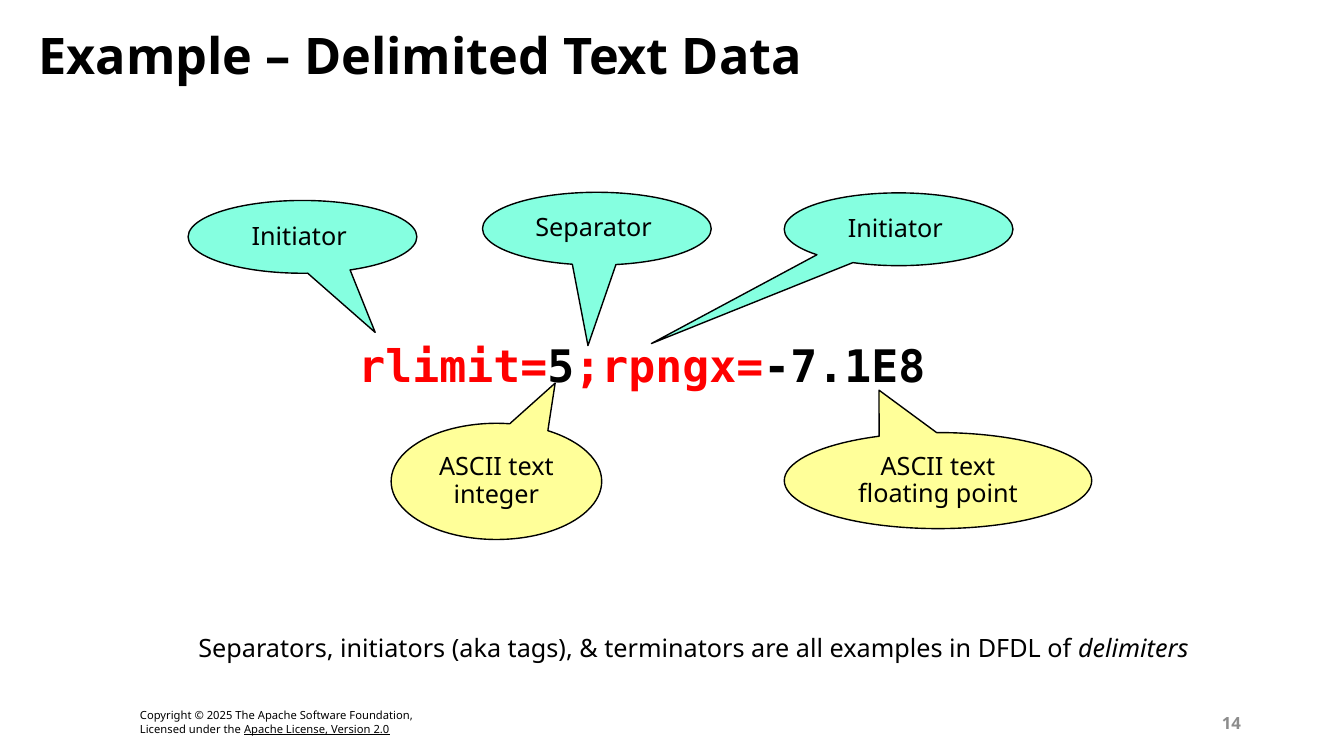
from pptx import Presentation
from pptx.dml.color import RGBColor
from pptx.enum import shapes, text
from pptx.util import Pt

COLORS = {"black": "000000", "red": "FF0000", "grey": "8C8C8C",
          "mint": "85FFE0", "yellow": "FFFF99"}
SANS, MONO = "Noto Sans", "DejaVu Sans Mono"

# Content: every paragraph is a list of (words, run format)
TITLE = [[("Example – Delimited Text Data", {})]]
DATA = [[("rlimit=", {"color": "red"}), ("5", {}),
         (";rpngx=", {"color": "red"}), ("-7.1E8", {})]]
CAPTION = [[("Separators, initiators (aka tags), & terminators are all "
             "examples in DFDL of ", {}), ("delimiters", {"italic": True})]]
COPYRIGHT = [[("Copyright © 2025 The Apache Software Foundation,", {})],
             [("Licensed under the ", {}),
              ("Apache License, Version 2.0", {"underline": True})]]
PAGE_NUMBER = [[("14", {})]]

# Callouts: words, fill, (left, top, width, height), pointer tip
DELIMITER_SIZE = (163.4, 52)
CALLOUTS = [
    ("ASCII text integer", "yellow", (279.4, 302.4, 150.4, 83), (0.279, -0.846)),
    ("ASCII text floating point", "yellow", (560.2, 309, 219.6, 68.6), (-0.192, -0.942)),
    ("Separator ", "mint", (344.7, 137.4, *DELIMITER_SIZE), (-0.039, 1.606)),
    ("Initiator ", "mint", (560.2, 137.8, *DELIMITER_SIZE), (-1.081, 1.57)),
    ("Initiator ", "mint", (134.4, 143.2, *DELIMITER_SIZE), (0.318, 1.313)),
]


def rgb(name):
    return RGBColor.from_string(COLORS[name])


def write(frame, paragraphs, size=18, font=SANS, color="black", bold=False,
          align=text.PP_ALIGN.LEFT, anchor=text.MSO_ANCHOR.TOP,
          spacing=None, wrap=True):
    """Fill a text frame with formatted paragraphs."""
    frame.word_wrap = wrap
    frame.auto_size = (text.MSO_AUTO_SIZE.NONE if wrap
                       else text.MSO_AUTO_SIZE.SHAPE_TO_FIT_TEXT)
    frame.vertical_anchor = anchor
    for index, runs in enumerate(paragraphs):
        paragraph = frame.add_paragraph() if index else frame.paragraphs[0]
        paragraph.alignment = align
        if spacing:
            paragraph.line_spacing = spacing
        for words, style in runs:
            run = paragraph.add_run()
            run.text = words
            run.font.name = font
            run.font.size = Pt(size)
            run.font.bold = bold
            run.font.italic = style.get("italic")
            run.font.underline = style.get("underline")
            run.font.color.rgb = rgb(style.get("color", color))


def add_text(slide, box, paragraphs, **style):
    label = slide.shapes.add_textbox(*map(Pt, box))
    write(label.text_frame, paragraphs, **style)


def add_callout(slide, words, fill, box, tip):
    bubble = slide.shapes.add_shape(
        shapes.MSO_SHAPE.OVAL_CALLOUT, *map(Pt, box))
    bubble.shadow.inherit = False
    bubble.adjustments[0], bubble.adjustments[1] = tip
    bubble.fill.solid()
    bubble.fill.fore_color.rgb = rgb(fill)
    bubble.line.color.rgb = rgb("black")
    bubble.line.width = Pt(1)
    write(bubble.text_frame, [[(words, {})]], spacing=0.9,
          align=text.PP_ALIGN.CENTER, anchor=text.MSO_ANCHOR.MIDDLE)


def main():
    deck = Presentation()
    deck.slide_width, deck.slide_height = Pt(960), Pt(540)
    slide = deck.slides.add_slide(deck.slide_layouts[5])

    # Title
    title = slide.shapes.title
    title.left, title.top, title.width, title.height = map(Pt, (20.2, 10, 749.5, 57))
    write(title.text_frame, TITLE, size=36, bold=True,
          anchor=text.MSO_ANCHOR.MIDDLE)

    # Delimited data and its callouts
    add_text(slide, (249, 237.6, 628, 54), DATA, size=32, font=MONO, bold=True)
    for callout in CALLOUTS:
        add_callout(slide, *callout)

    # Caption and footer
    add_text(slide, (134.6, 450.7, 728.6, 26.6), CAPTION, spacing=0.9, wrap=False)
    add_text(slide, (92.9, 502.6, 213, 26.6), COPYRIGHT, size=8, wrap=False)
    add_text(slide, (832.3, 501.8, 61.2, 28.8), PAGE_NUMBER, size=12, bold=True,
             color="grey", align=text.PP_ALIGN.RIGHT,
             anchor=text.MSO_ANCHOR.MIDDLE)

    deck.save("out.pptx")


if __name__ == "__main__":
    main()
